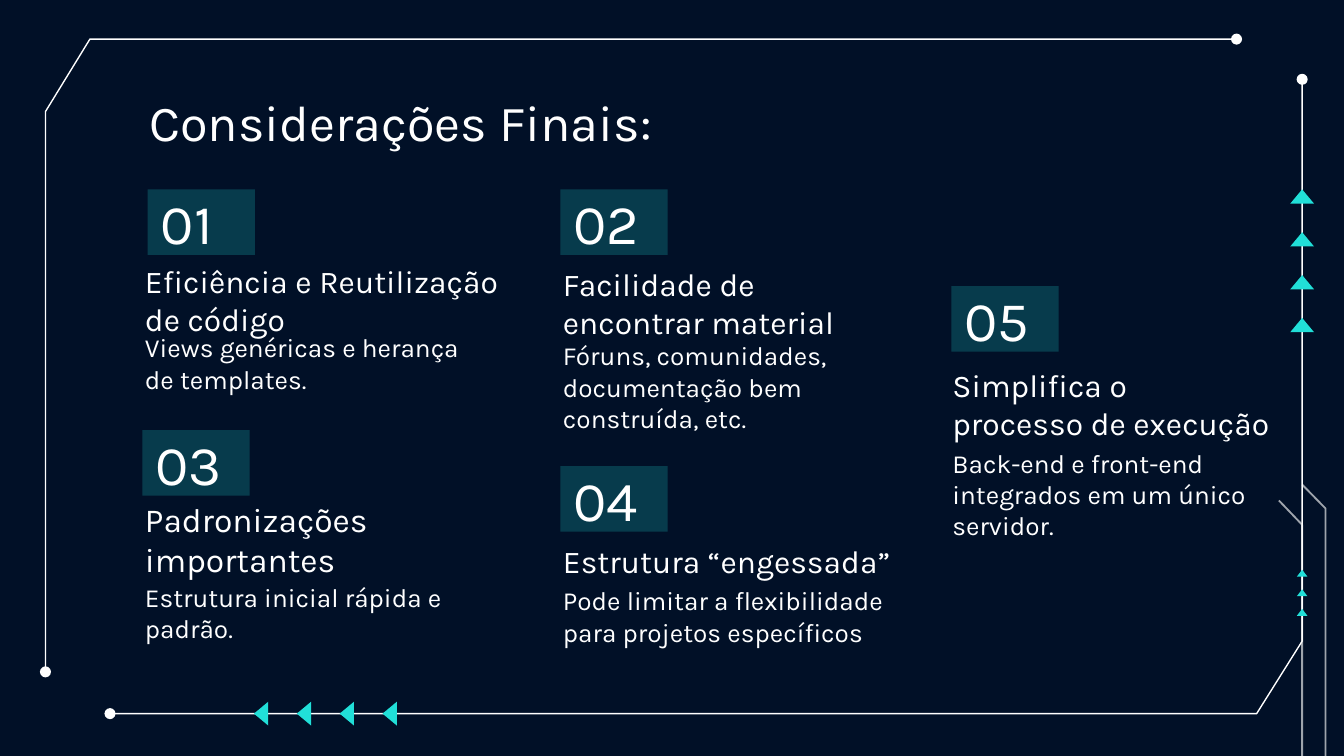
from lxml.etree import SubElement
from pptx import Presentation
from pptx.dml.color import RGBColor
from pptx.enum.shapes import MSO_SHAPE
from pptx.enum.text import MSO_ANCHOR, MSO_AUTO_SIZE, PP_ALIGN
from pptx.oxml.ns import qn
from pptx.util import Cm, Pt

# Content: lengths in centimetres
NAVY, WHITE, CYAN = "011027", "FFFFFF", "21DFD8"
FONT = "Karla"
TITLE = "Considerações Finais:"

# number, its left and top; heading, its size and box; body and its box
CARDS = [
    ("01", 2.79, 3.58,
     "Eficiência e Reutilização de código", 17, (2.49, 4.9, 7.37, 1.73),
     "Views genéricas e herança de templates.", (2.49, 6.02, 6.71, 1.73)),
    ("02", 10.59, 3.58,
     "Facilidade de encontrar material", 17, (10.39, 4.85, 6.71, 1.85),
     "Fóruns, comunidades, documentação bem construída, etc.",
     (10.39, 6.17, 6.71, 2.29)),
    ("03", 2.69, 8.13,
     "Padronizações importantes", 18, (2.49, 9.47, 7.67, 1.73),
     "Estrutura inicial rápida e padrão.", (2.49, 10.74, 7.67, 1.6)),
    ("04", 10.59, 8.81,
     "Estrutura “engessada”", 17, (10.39, 10.19, 7.14, 1.02),
     "Pode limitar a flexibilidade para projetos específicos",
     (10.39, 10.8, 6.71, 1.73)),
    ("05", 17.98, 5.41,
     "Simplifica o\nprocesso de execução", 17, (17.75, 6.6, 7.37, 2.01),
     "Back-end e front-end integrados em um único servidor.",
     (17.75, 8.2, 6.71, 2.13)),
]

RAIL_X, RAIL_Y = 24.61, 13.49
FRAME = [
    [(RAIL_X, 1.5), (RAIL_X, 12.12), (23.75, RAIL_Y), (2.08, RAIL_Y)],
    [(0.86, 12.7), (0.86, 2.11), (1.7, 0.74), (23.37, 0.74)],
]
TRACES = [
    [(24.17, 9.46), (RAIL_X, 9.92), (RAIL_X, 14.29)],
    [(RAIL_X, 9.16), (25.05, 9.61), (25.05, 14.29)],
]
# first tip, gap, count, depth, base
UP_ARROWS = [(3.58, 0.81, 4, 0.27, 0.45), (10.77, 0.37, 3, 0.13, 0.2)]
LEFT_ARROWS = (4.8, 0.81, 4, 0.27, 0.45)


def paint(color_format, color, alpha=None):
    """Set the colour of a solid fill, with an optional opacity in percent."""
    color_format.solid()
    color_format.fore_color.rgb = RGBColor.from_string(color)
    if alpha is not None:
        srgb = color_format._xPr.find(".//" + qn("a:srgbClr"))
        SubElement(srgb, qn("a:alpha"), val=str(alpha * 1000))


def put_text(sp, text, size=14, color=WHITE, anchor=MSO_ANCHOR.TOP):
    tf = sp.text_frame
    tf.text = text
    tf.word_wrap = True
    tf.auto_size = MSO_AUTO_SIZE.NONE
    tf.vertical_anchor = anchor
    tf.margin_left = tf.margin_right = tf.margin_top = tf.margin_bottom = Cm(0.25)
    for p in tf.paragraphs:
        p.alignment = PP_ALIGN.LEFT
        for r in p.runs:
            r.font.name, r.font.size = FONT, Pt(size)
            r.font.color.rgb = RGBColor.from_string(color)


def outline(s, points, close=False):
    (x, y), *rest = [(Cm(px), Cm(py)) for px, py in points]
    builder = s.shapes.build_freeform(x, y)
    builder.add_line_segments(rest, close=close)
    sp = builder.convert_to_shape()
    sp.shadow.inherit = False
    return sp


def polyline(s, points, width, alpha=None, dots=False):
    sp = outline(s, points)
    sp.fill.background()
    paint(sp.line.fill, WHITE, alpha)
    sp.line.width = Pt(width)
    if dots:
        ln = sp.line.fill._xPr
        for end in ("a:headEnd", "a:tailEnd"):
            SubElement(ln, qn(end), type="oval", w="med", len="med")


def triangle(s, points):
    sp = outline(s, points, close=True)
    paint(sp.fill, CYAN)
    sp.line.fill.background()


def add_text(s, text, box, **fmt):
    put_text(s.shapes.add_textbox(*map(Cm, box)), text, **fmt)


prs = Presentation()
prs.slide_width, prs.slide_height = Cm(25.4), Cm(14.29)
s = prs.slides.add_slide(prs.slide_layouts[5])
paint(s.background.fill, NAVY)

# Frame, arrows and traces
for points in FRAME:
    polyline(s, points, 0.75, dots=True)
first, gap, count, depth, base = LEFT_ARROWS
for i in range(count):
    x = first + i * gap
    triangle(s, [(x, RAIL_Y), (x + depth, RAIL_Y - base / 2),
                 (x + depth, RAIL_Y + base / 2)])
for points in TRACES:
    polyline(s, points, 1, alpha=61)
for first, gap, count, depth, base in UP_ARROWS:
    for i in range(count):
        y = first + i * gap
        triangle(s, [(RAIL_X, y), (RAIL_X + base / 2, y + depth),
                     (RAIL_X - base / 2, y + depth)])

# Title
title = s.shapes.title
title.left, title.top, title.width, title.height = map(Cm, (2.57, 1.47, 21.41, 1.6))
put_text(title, TITLE, size=27)

# Numbered cards
for number, x, y, heading, size, heading_box, body, body_box in CARDS:
    sp = s.shapes.add_shape(MSO_SHAPE.RECTANGLE, Cm(x), Cm(y), Cm(2.03), Cm(1.24))
    sp.shadow.inherit = False
    paint(sp.fill, CYAN, alpha=21)
    sp.line.fill.background()
    put_text(sp, number, size=30, anchor=MSO_ANCHOR.MIDDLE)
    add_text(s, heading, heading_box, size=size, anchor=MSO_ANCHOR.BOTTOM)
    add_text(s, body, body_box)

prs.save("out.pptx")
